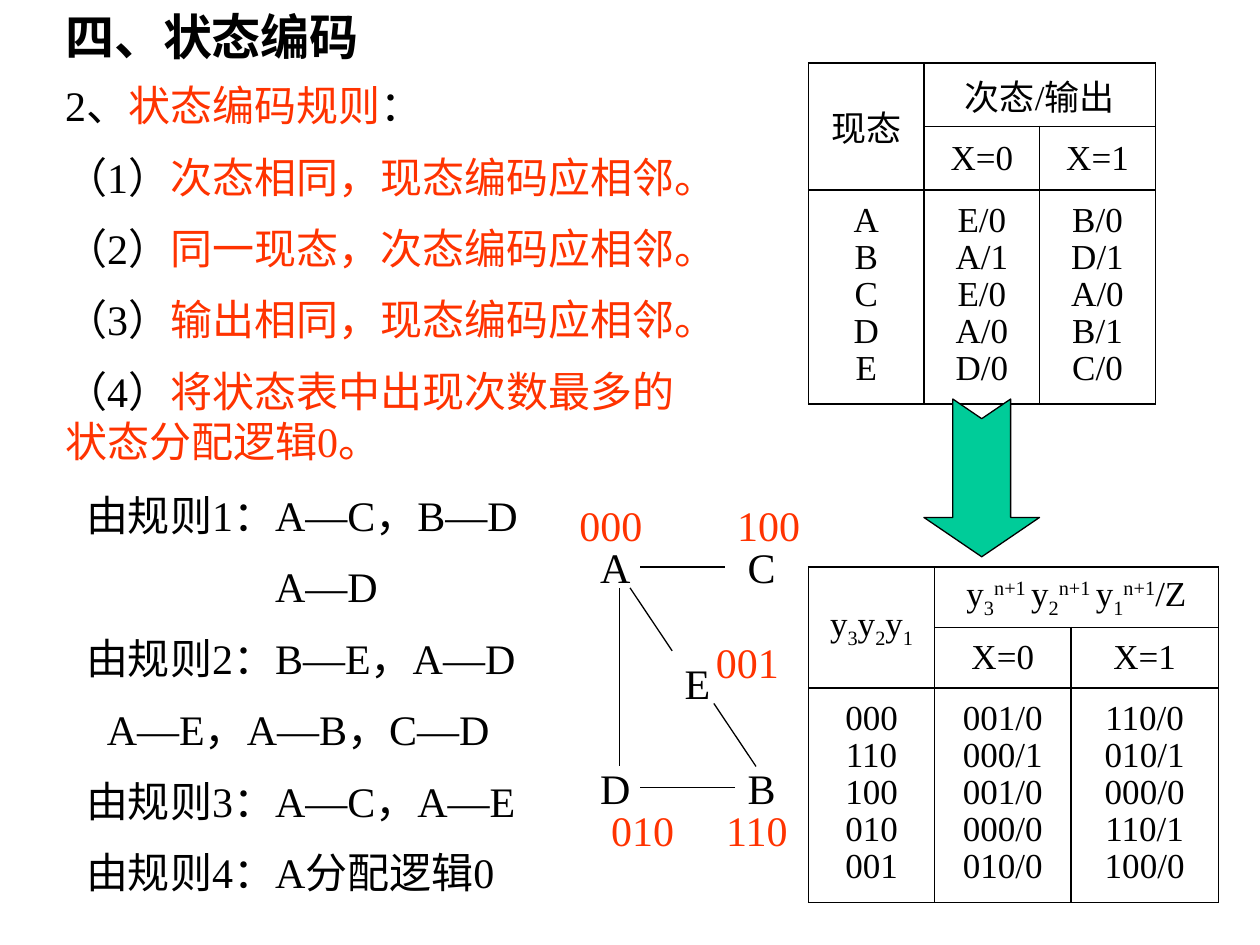
from lxml import etree
from pptx import Presentation
from pptx.dml.color import RGBColor
from pptx.enum import shapes, text
from pptx.oxml import ns
from pptx.util import Cm, Pt

BLACK = RGBColor(0x00, 0x00, 0x00)
RED = RGBColor(0xFF, 0x33, 0x00)
GREEN = RGBColor(0x00, 0xCC, 0x99)
FONT = "Times New Roman"
SUB, SUPER = -25000, 30000
TOP_LEFT = {
    "word_wrap": True,
    "auto_size": text.MSO_AUTO_SIZE.NONE,
    "vertical_anchor": text.MSO_ANCHOR.TOP,
}


def add_runs(paragraph, runs, size=24, bold=False):
    """Each run is (wording, colour) or (wording, colour, baseline)."""
    for wording, color, *baseline in runs:
        run = paragraph.add_run()
        run.text = wording
        for name, value in {"name": FONT, "size": Pt(size), "bold": bold}.items():
            setattr(run.font, name, value)
        run.font.color.rgb = color
        if baseline:
            run._r.get_or_add_rPr().set("baseline", str(baseline[0]))


def add_label(parent, wording, color, left, top, width):
    frame = parent.add_textbox(Cm(left), Cm(top), Cm(width), Cm(1.27)).text_frame
    for name, value in TOP_LEFT.items():
        setattr(frame, name, value)
    add_runs(frame.paragraphs[0], [(wording, color)])


deck = Presentation()
deck.slide_width, deck.slide_height = Cm(25.4), Cm(19.05)
slide = deck.slides.add_slide(deck.slide_layouts[3])
heading, rules, results = slide.placeholders

# Heading, coding rules and what follows from them: (indent in cm, runs)
heading_lines = [(0, [("四、状态编码", BLACK)])]
rule_lines = [(0, [("2、", BLACK), ("状态编码规则", RED), ("：", BLACK)])]
for number, rule in enumerate([
    "次态相同，现态编码应相邻。",
    "同一现态，次态编码应相邻。",
    "输出相同，现态编码应相邻。",
    "将状态表中出现次数最多的状态分配逻辑0。",
], 1):
    rule_lines.append((0, [(f"（{number}）", BLACK), (rule, RED)]))
result_lines = [(indent, [(line, BLACK)]) for indent, line in [
    (0, "由规则1：A—C，B—D"),
    (3.81, "A—D"),
    (0, "由规则2：B—E，A—D"),
    (0.42, "A—E，A—B，C—D"),
    (0, "由规则3：A—C，A—E"),
    (0, "由规则4：A分配逻辑0"),
]]

for holder, box, lines, size, bold in [
    (heading, (1.06, 0, 19.9, 1.45), heading_lines, 28, True),
    (rules, (1.06, 1.48, 13.34, 8.38), rule_lines, 24, False),
    (results, (1.48, 9.74, 12.5, 8.86), result_lines, 24, False),
]:
    holder.left, holder.top, holder.width, holder.height = map(Cm, box)
    frame = holder.text_frame
    for name, value in TOP_LEFT.items():
        setattr(frame, name, value)
    for i, (indent, runs) in enumerate(lines):
        paragraph = frame.add_paragraph() if i else frame.paragraphs[0]
        properties = paragraph._p.get_or_add_pPr()
        properties.set("marL", str(Cm(indent)))
        properties.set("indent", "0")
        etree.SubElement(properties, ns.qn("a:buNone"))
        paragraph.alignment = text.PP_ALIGN.LEFT
        paragraph.space_before = Pt(12 if i else 0)
        add_runs(paragraph, runs, size, bold)

# State table and coded state table
present_code, next_code = [], []
for digit in "321":
    present_code += [("y", BLACK), (digit, BLACK, SUB)]
    power = "n+1" if digit == "1" else "n+1 "
    next_code += [("y", BLACK), (digit, BLACK, SUB), (power, BLACK, SUPER)]
next_code.append(("/Z", BLACK))

for left, top, widths, header_height, present, following, columns in [
    (16.3, 1.27, (2.33, 2.33, 2.33), 1.09,
     [("现态", BLACK)], [("次态/输出", BLACK)],
     ("A B C D E", "E/0 A/1 E/0 A/0 D/0", "B/0 D/1 A/0 B/1 C/0")),
    (16.3, 11.43, (2.54, 2.75, 2.97), 1.22,
     present_code, next_code,
     ("000 110 100 010 001", "001/0 000/1 001/0 000/0 010/0",
      "110/0 010/1 000/0 110/1 100/0")),
]:
    heights = (header_height, header_height, 4.32)
    table = slide.shapes.add_table(
        3, 3, Cm(left), Cm(top), Cm(sum(widths)), Cm(sum(heights))).table
    table.first_row = table.horz_banding = False
    for column, width in zip(table.columns, widths):
        column.width = Cm(width)
    for row, height in zip(table.rows, heights):
        row.height = Cm(height)
    table.cell(0, 0).merge(table.cell(1, 0))
    table.cell(0, 1).merge(table.cell(0, 2))

    contents = {
        (0, 0): [present],
        (0, 1): [following],
        (1, 1): [[("X=0", BLACK)]],
        (1, 2): [[("X=1", BLACK)]],
    }
    for c, entries in enumerate(columns):
        contents[2, c] = [[(entry, BLACK)] for entry in entries.split()]
    for (r, c), lines in contents.items():
        frame = table.cell(r, c).text_frame
        for i, runs in enumerate(lines):
            paragraph = frame.add_paragraph() if i else frame.paragraphs[0]
            paragraph.alignment = text.PP_ALIGN.CENTER
            paragraph.space_before = Pt(3.4 if i else 0)
            paragraph.line_spacing = 0.8 if r == 2 else 1.0
            add_runs(paragraph, runs, 20)

    for cell in table.iter_cells():
        cell.vertical_anchor = text.MSO_ANCHOR.MIDDLE
        borders = cell._tc.get_or_add_tcPr()
        for side in ("lnL", "lnR", "lnT", "lnB"):
            line = etree.SubElement(borders, ns.qn(f"a:{side}"), w=str(Pt(1)))
            fill = etree.SubElement(line, ns.qn("a:solidFill"))
            etree.SubElement(fill, ns.qn("a:srgbClr"), val=str(BLACK))
        cell.fill.background()

# Arrow from the state table to the coded one
arrow = slide.shapes.add_shape(
    shapes.MSO_SHAPE.NOTCHED_RIGHT_ARROW, Cm(18.2), Cm(8.47), Cm(3.18), Cm(2.33))
arrow.rotation = 90
arrow.adjustments[0], arrow.adjustments[1] = 0.5, 0.34
arrow.shadow.inherit = False
arrow.fill.solid()
arrow.fill.fore_color.rgb = GREEN
arrow.line.color.rgb = BLACK
arrow.line.width = Pt(0.75)

# Adjacency graph with the code of each state
graph = slide.shapes.add_group_shape().shapes
for state, left, top in [
    ("A", 11.85, 10.8), ("C", 14.82, 10.8), ("E", 13.55, 13.12),
    ("D", 11.85, 15.24), ("B", 14.82, 15.24),
]:
    add_label(graph, state, BLACK, left, top, 1.48)
for ends in [
    (12.91, 11.43, 14.61, 11.43),
    (12.49, 11.85, 12.49, 15.45),
    (14.82, 15.88, 12.91, 15.88),
    (12.7, 11.85, 13.55, 13.12),
    (14.39, 14.18, 15.24, 15.45),
]:
    edge = graph.add_connector(shapes.MSO_CONNECTOR.STRAIGHT, *map(Cm, ends))
    edge.line.color.rgb = BLACK
    edge.line.width = Pt(0.75)
    etree.SubElement(edge._element.spPr, ns.qn("a:effectLst"))
for code, left, top in [
    ("000", 11.43, 9.95), ("100", 14.61, 9.95), ("001", 14.18, 12.7),
    ("010", 12.07, 16.09), ("110", 14.39, 16.09),
]:
    add_label(slide.shapes, code, RED, left, top, 2.12)

deck.save("out.pptx")
